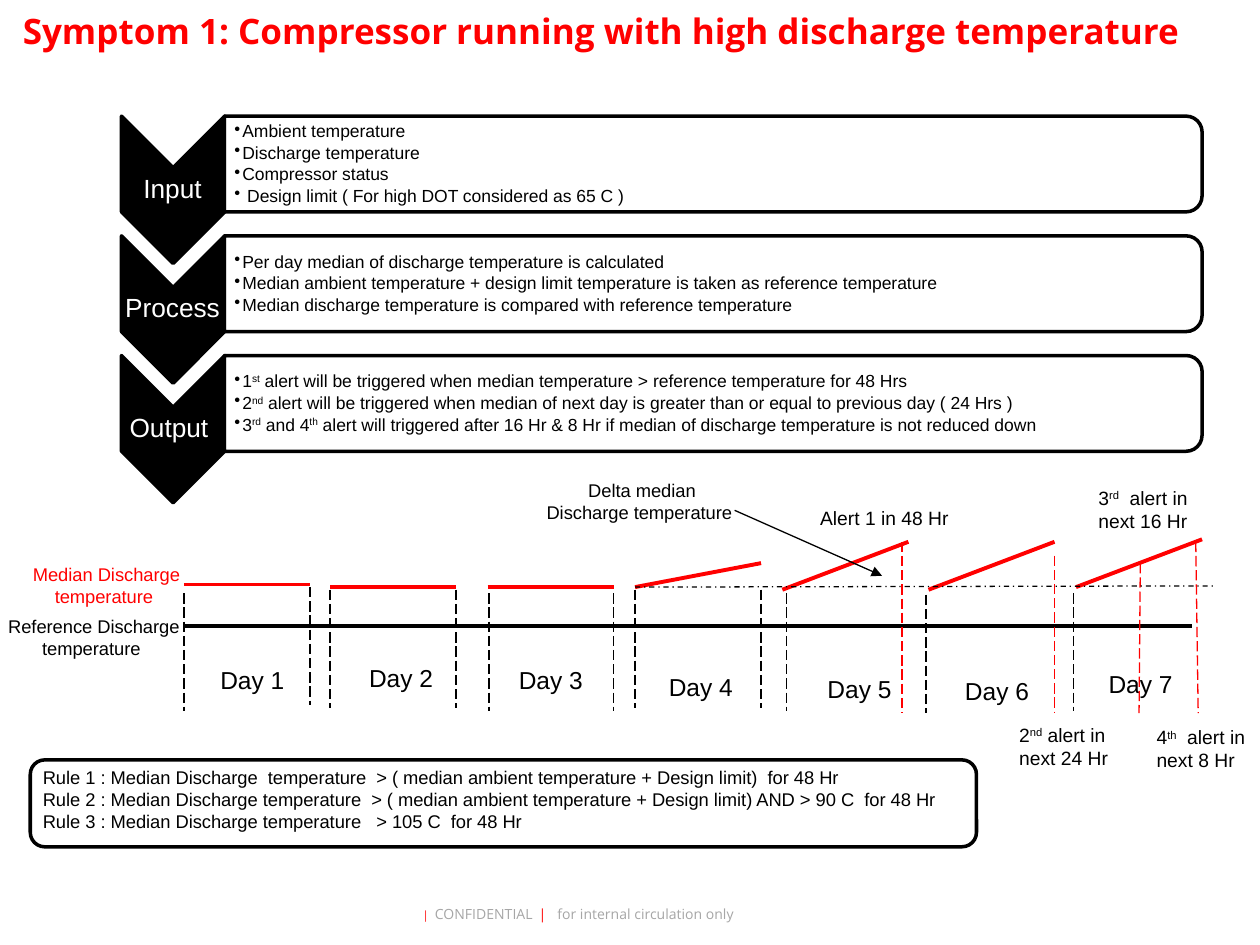
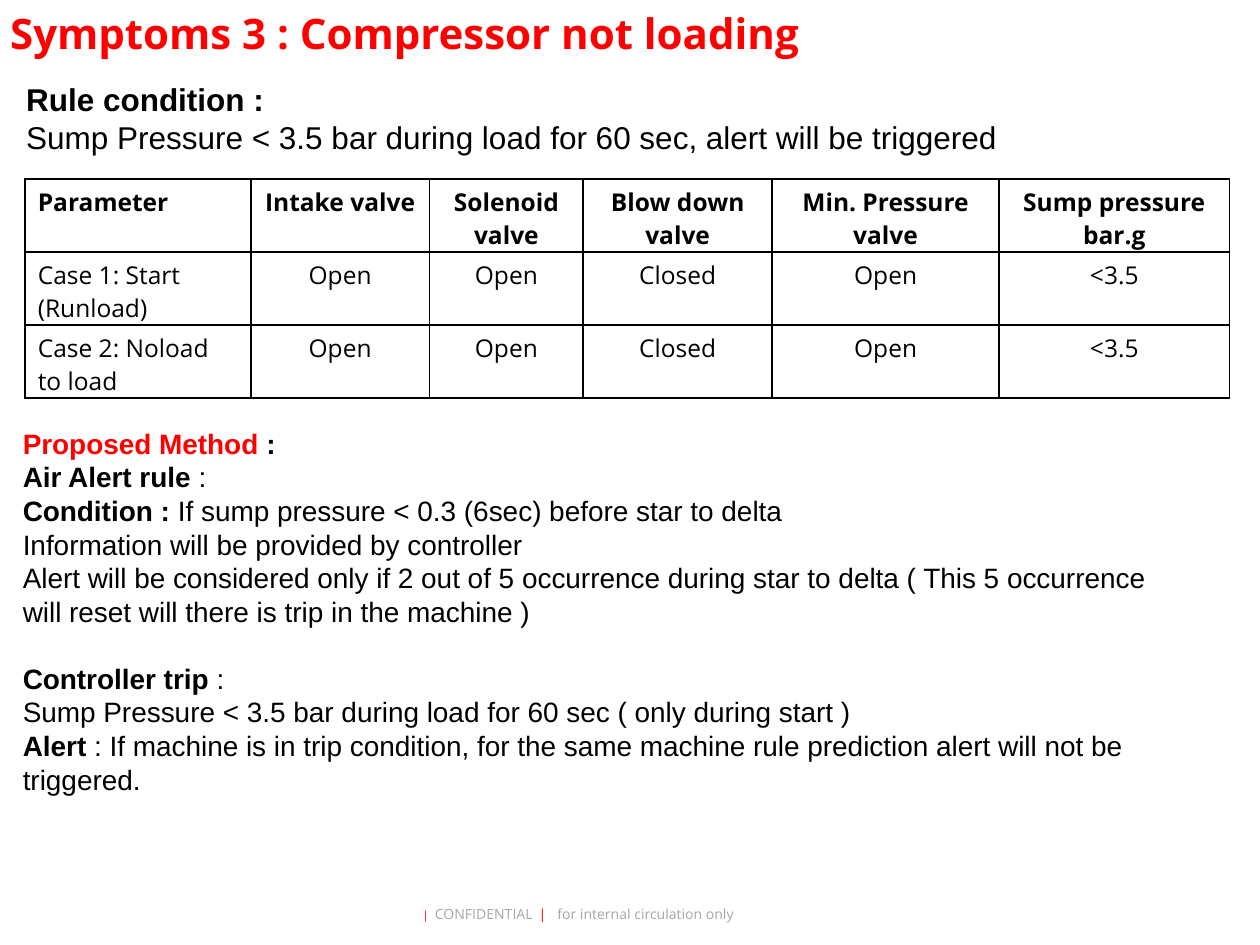
"""Build two slides on compressor alert rules."""
import pptx
import pptx.util
import pptx.dml.color
import pptx.enum.dml
import pptx.enum.shapes
import pptx.enum.text
import pptx.oxml.ns
from lxml import etree

Pt = pptx.util.Pt
RGBColor = pptx.dml.color.RGBColor
Align = pptx.enum.text.PP_ALIGN
Anchor = pptx.enum.text.MSO_ANCHOR
Shape = pptx.enum.shapes.MSO_SHAPE
Dash = pptx.enum.dml.MSO_LINE

RED = RGBColor(0xFF, 0x00, 0x00)
BLACK = RGBColor(0x00, 0x00, 0x00)
WHITE = RGBColor(0xFF, 0xFF, 0xFF)
GRAY = RGBColor(0xA6, 0xA6, 0xA6)
BODY_FONT = "Arial"
TITLE_FONT = "Open Sans"
BOLD = {"bold": True}
PLAIN = {"bold": False}
RAISED = {"raised": True}


def add_xml(parent, tag, **attributes):
    """Append a DrawingML element to parent and return it."""
    return etree.SubElement(parent, pptx.oxml.ns.qn(tag), **attributes)


def write(frame, paragraphs, size=10.5, font=BODY_FONT, color=BLACK, bold=False,
          align=Align.LEFT, anchor=Anchor.TOP, margins=(7.2, 3.6, 7.2, 3.6),
          line_spacing=None, space_after=0, gaps=None, bullet=False):
    """Fill a text frame; a paragraph is a string or a list of strings and (text, format) runs."""
    frame.word_wrap = True
    frame.auto_size = pptx.enum.text.MSO_AUTO_SIZE.NONE
    frame.vertical_anchor = anchor
    frame.margin_left, frame.margin_top, frame.margin_right, frame.margin_bottom = map(Pt, margins)
    for index, runs in enumerate(paragraphs):
        paragraph = frame.paragraphs[0] if index == 0 else frame.add_paragraph()
        paragraph.alignment = align
        paragraph.line_spacing = line_spacing
        paragraph.space_before = Pt((gaps or {}).get(index, 0))
        paragraph.space_after = Pt(space_after)
        properties = paragraph._p.get_or_add_pPr()
        indent = Pt(4.5) if bullet else 0
        properties.set("marL", str(indent))
        properties.set("indent", str(-indent))
        if bullet:
            add_xml(properties, "a:buChar", char="•")
        else:
            add_xml(properties, "a:buNone")
        for item in [runs] if isinstance(runs, str) else runs:
            text, special = (item, {}) if isinstance(item, str) else item
            run = paragraph.add_run()
            run.text = text
            run.font.name = font
            run.font.size = Pt(special.get("size", size))
            run.font.bold = special.get("bold", bold)
            run.font.color.rgb = special.get("color", color)
            if special.get("raised"):
                run._r.get_or_add_rPr().set("baseline", "30000")


class Deck:
    """Shared style and the slide being built."""

    def __init__(self):
        """Start a presentation of 10 by 7.5 inches."""
        self.presentation = pptx.Presentation()
        self.presentation.slide_width = Pt(720)
        self.presentation.slide_height = Pt(540)
        self.slide = None

    def new_slide(self, layout, title, size, left, top):
        """Add a slide with its title and footer."""
        self.slide = self.presentation.slides.add_slide(self.presentation.slide_layouts[layout])
        self.fill_placeholder(0, (left, top, 696, 38), [title], size=size,
                              font=TITLE_FONT, color=RED, bold=True)
        small_red = {"size": 6.5, "color": RED}
        self.text((72, 513.5, 517, 18),
                  [[("|  ", small_red), "CONFIDENTIAL", ("  ", small_red),
                    ("|   ", {"color": RED}), "for internal circulation only"]],
                  size=8, font=TITLE_FONT, color=GRAY, align=Align.CENTER, anchor=Anchor.MIDDLE)

    def fill_placeholder(self, index, box, paragraphs, **style):
        """Move a template placeholder and write in it."""
        shape = self.slide.placeholders[index]
        shape.left, shape.top, shape.width, shape.height = map(Pt, box)
        write(shape.text_frame, paragraphs, **style)

    def text(self, box, paragraphs, **style):
        """Add a text box."""
        write(self.slide.shapes.add_textbox(*map(Pt, box)).text_frame, paragraphs, **style)

    def outlined(self, kind, box, fill=None, opacity=100, turned=False):
        """Add a black-outlined shape; a turned one occupies box after a quarter turn."""
        left, top, width, height = box
        if turned:
            shift = (width - height) / 2
            left, top, width, height = left + shift, top - shift, height, width
        shape = self.slide.shapes.add_shape(kind, Pt(left), Pt(top), Pt(width), Pt(height))
        shape.rotation = 90 if turned else 0
        shape.shadow.inherit = False
        shape.line.color.rgb = BLACK
        shape.line.width = Pt(2)
        if fill is None:
            shape.fill.background()
        else:
            shape.fill.solid()
            shape.fill.fore_color.rgb = fill
        if opacity < 100:
            color = shape._element.spPr.find(".//" + pptx.oxml.ns.qn("a:srgbClr"))
            add_xml(color, "a:alpha", val=str(opacity * 1000))
        return shape

    def line(self, x1, y1, x2, y2, color=BLACK, width=0.75, dash=None, arrow=False):
        """Draw a straight line, with an arrowhead at its end if asked."""
        connector = self.slide.shapes.add_connector(
            pptx.enum.shapes.MSO_CONNECTOR.STRAIGHT, Pt(x1), Pt(y1), Pt(x2), Pt(y2))
        connector.line.color.rgb = color
        connector.line.width = Pt(width)
        if dash:
            connector.line.dash_style = dash
        if arrow:
            add_xml(connector.line._get_or_add_ln(), "a:tailEnd", type="triangle")
        add_xml(connector._element.spPr, "a:effectLst")

    def step(self, index, name, bullets):
        """Add one row of the input-process-output chain."""
        top = 66.4 + 68.4 * index
        self.outlined(Shape.CHEVRON, (69.4, top, 59, 84.2), BLACK, turned=True)
        self.text((69.1, top + 29.4, 59, 25.2), [name], size=15, color=WHITE, align=Align.CENTER,
                  anchor=Anchor.MIDDLE, margins=(0.7,) * 4, line_spacing=0.9)
        self.outlined(Shape.ROUND_2_SAME_RECTANGLE, (128.2, top, 558.7, 54.7), WHITE,
                      opacity=90, turned=True)
        self.text((128.2, top + 2.7, 556, 49.7), bullets, size=10, anchor=Anchor.MIDDLE,
                  margins=(5.8, 0.7, 0.7, 0.7), line_spacing=0.9, space_after=1.5, bullet=True)

    def table(self, box, widths, rows):
        """Add a plain ruled table with a bold header and a left-aligned first column."""
        table = self.slide.shapes.add_table(len(rows), len(widths), *map(Pt, box)).table
        for column, width in zip(table.columns, widths):
            column.width = Pt(width)
        for row_index, row in enumerate(rows):
            table.rows[row_index].height = Pt(box[3] / len(rows))
            for column_index, content in enumerate(row):
                cell = table.cell(row_index, column_index)
                write(cell.text_frame, [content], size=14, font=TITLE_FONT, bold=row_index == 0,
                      align=Align.CENTER if column_index else Align.LEFT)
                cell.margin_left = cell.margin_right = Pt(7.2)
                cell.margin_top, cell.margin_bottom = Pt(3.6), 0
                properties = cell._tc.get_or_add_tcPr()
                for side in ("L", "R", "T", "B"):
                    border = add_xml(properties, "a:ln" + side, w=str(Pt(1)))
                    add_xml(add_xml(border, "a:solidFill"), "a:srgbClr", val=str(BLACK))
                cell.fill.background()


def symptom_one(deck):
    """Build the discharge temperature slide."""
    deck.new_slide(5, "Symptom 1: Compressor running with high discharge temperature", 20, 5.8, 2)
    steps = {
        "Input": ["Ambient temperature", "Discharge temperature", "Compressor status",
                  " Design limit ( For high DOT considered as 65 C )"],
        "Process": ["Per day median of discharge temperature is calculated",
                    "Median ambient temperature + design limit temperature is taken as "
                    "reference temperature",
                    "Median discharge temperature is compared with reference temperature"],
        "Output ": [["1", ("st", RAISED), " alert will be triggered when median temperature > "
                     "reference temperature for 48 Hrs"],
                    ["2", ("nd", RAISED), " alert will be triggered when median of next day is "
                     "greater than or equal to previous day ( 24 Hrs )"],
                    ["3", ("rd", RAISED), " and 4", ("th", RAISED), " alert will triggered after "
                     "16 Hr & 8 Hr if median of discharge temperature is not reduced down"]],
    }
    for index, (name, bullets) in enumerate(steps.items()):
        deck.step(index, name, bullets)

    # Each day: start and both heights of its median line, then the place of its label.
    days = [(105.1, 334, 334, 118.8, 376.6), (188.6, 335.5, 335.5, 203.8, 375.1),
            (278.6, 335.5, 335.5, 289.4, 376.6), (362.9, 335.5, 321.8, 375.1, 380.2),
            (447.1, 337, 309.6, 465.8, 381.6), (530.6, 337, 309.6, 544.3, 383),
            (614.9, 335.5, 308.2, 626.4, 378.7)]
    deck.line(105.1, 357.8, 681.1, 357.8, width=2.25)
    for number, (start, y1, y2, left, top) in enumerate(days, 1):
        deck.line(start, y1, start + 72, y2, color=RED, width=2.25)
        deck.text((left, top, 80, 24.5), [f"Day {number}"], size=14)

    day_limits = [(105.1, 339), (177.1, 335.5), (188.6, 337), (260.6, 337), (279.4, 339),
                  (350.6, 339), (362.9, 337), (434.9, 337), (449.3, 339), (529.2, 339.8),
                  (613.4, 339)]
    for x, top in day_limits:
        deck.line(x, top, x, top + 67.4, dash=Dash.LONG_DASH)
    alert_times = [(515.5, 309.6, 515.5), (602.6, 317.5, 602.6), (651.6, 321.8, 650.9),
                   (683.3, 309.6, 684.7)]
    for x1, top, x2 in alert_times:
        deck.line(x1, top, x2, 407.5, color=RED, dash=Dash.LONG_DASH)
    deck.line(362.9, 335.5, 694, 334.8, dash=Dash.DASH_DOT)
    deck.line(419.8, 291.6, 504, 329, arrow=True)

    deck.text((461.5, 285.8, 159, 20.9), ["Alert 1 in 48 Hr"], size=11)
    alerts = [(575.3, 409.7, "2", "nd", " alert in next 24 Hr"),
              (620.6, 274.3, "3", "rd", "  alert in next 16 Hr"),
              (653.8, 411.1, "4", "th", "  alert in next 8 Hr")]
    for left, top, number, ending, rest in alerts:
        deck.text((left, top, 80, 33.8), [[number, (ending, RAISED), rest]], size=11)
    captions = [(-8.6, 347.8, "Reference Discharge temperature ", BLACK),
                (-1.4, 318.2, "Median Discharge temperature ", RED),
                (304.6, 270, "Delta median Discharge temperature ", BLACK)]
    for left, top, caption, color in captions:
        deck.text((left, top, 124.6, 33.8), [caption], color=color, align=Align.CENTER)

    rules = deck.outlined(Shape.ROUNDED_RECTANGLE, (17.3, 434.2, 540.7, 49.7))
    write(rules.text_frame,
          ["Rule 1 : Median Discharge  temperature  > ( median ambient temperature + "
           "Design limit)  for 48 Hr",
           "Rule 2 : Median Discharge temperature  > ( median ambient temperature + "
           "Design limit) AND > 90 C  for 48 Hr",
           "Rule 3 : Median Discharge temperature   > 105 C  for 48 Hr"],
          margins=(4.8, 1.2, 0, 0))


def symptom_three(deck):
    """Build the slide on the compressor that does not load."""
    deck.new_slide(1, "Symptoms 3 : Compressor not loading", 24, -1.4, 0.7)
    deck.text((7.9, 42, 635.8, 51.1),
              [[("Rule condition :", BOLD)],
               "Sump Pressure < 3.5 bar during load for 60 sec, alert will be triggered"], size=18)
    states = ["Open", "Open", "Closed", "Open", "<3.5"]
    deck.table((14.4, 102.2, 688.3, 122.4), [128.9, 102.2, 87.8, 108, 129.6, 131.8],
               [["Parameter", "Intake valve", "Solenoid valve", "Blow down valve",
                 "Min. Pressure valve", "Sump pressure bar.g"],
                ["Case 1: Start (Runload)"] + states,
                ["Case 2: Noload to load"] + states])
    deck.fill_placeholder(1, (5.8, 240, 671.8, 221.8), [
        [("Proposed Method ", {"bold": True, "color": RED}), (":", BOLD)],
        [("Air Alert rule ", BOLD), (":", PLAIN)],
        [("Condition :", BOLD), " If sump pressure < 0.3 (6sec) before star to delta"],
        "Information will be provided by controller",
        "Alert will be considered only if 2 out of 5 occurrence during star to delta "
        "( This 5 occurrence will reset will there is trip in the machine )",
        [("Controller trip ", BOLD), ":"],
        "Sump Pressure < 3.5 bar during load for 60 sec ( only during start )",
        [("Alert ", BOLD), ": If machine is in trip condition, for the same machine rule "
         "prediction alert will not be triggered."],
    ], size=16, gaps={5: 19.2})


deck = Deck()
symptom_one(deck)
symptom_three(deck)
deck.presentation.save("out.pptx")
